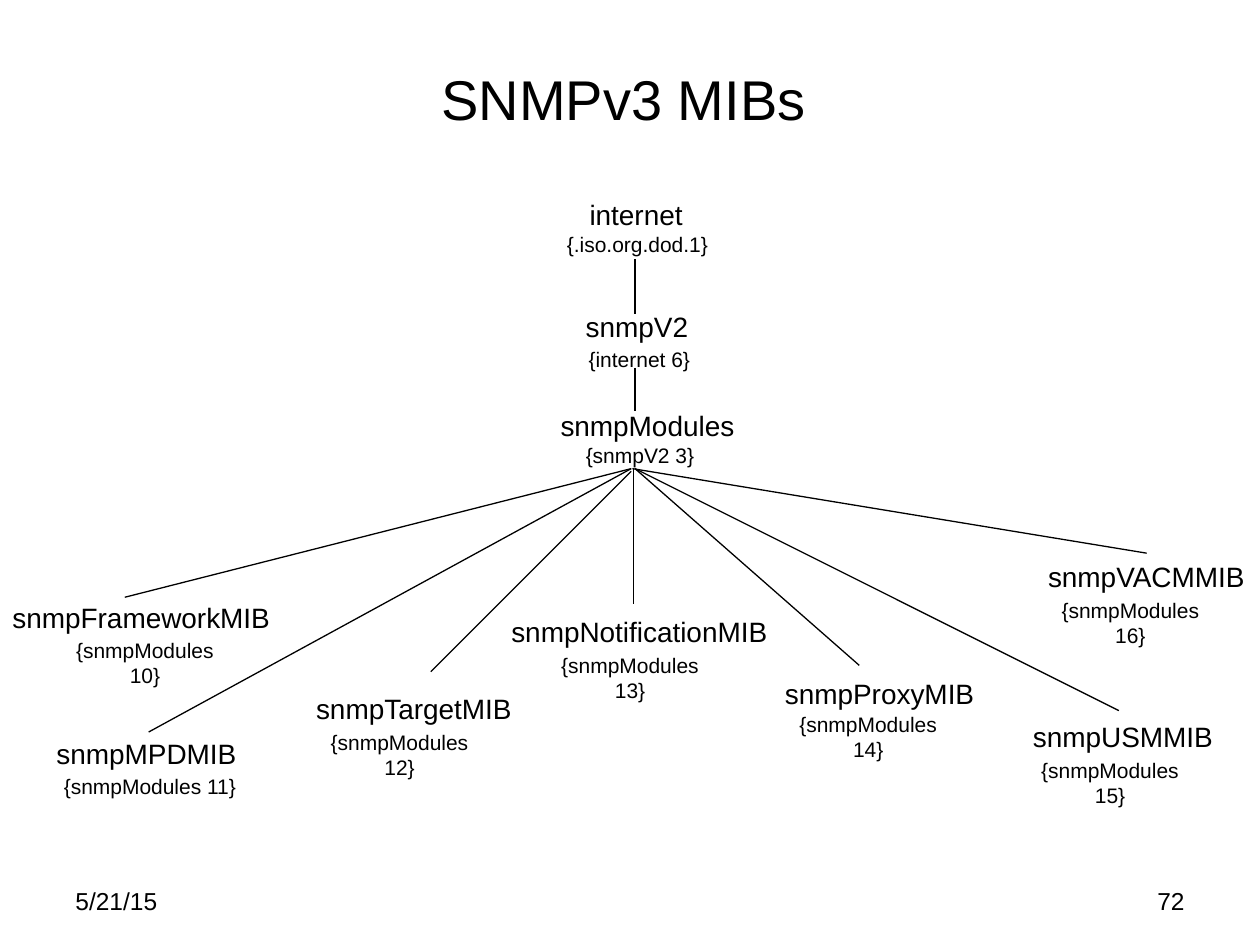
from lxml.etree import SubElement
from pptx import Presentation
from pptx.dml.color import RGBColor
from pptx.enum.shapes import MSO_CONNECTOR
from pptx.enum.text import MSO_ANCHOR, PP_ALIGN
from pptx.oxml.ns import qn
from pptx.util import Pt

COLORS = {"ink": "000000", "paper": "FFFFFF"}
FONT = "Arial"
NAME_HEIGHT, OID_HEIGHT = 26.6, 21.6
LEAF_OID_WIDTH = 113.8

# name, name box (left, top, width), oid, oid box (left, top, width)
ANCESTORS = [
    ("internet", (329.8, 109.4, 67.7), "{.iso.org.dod.1}", (316.8, 128.9, 95)),
    ("snmpV2", (327.6, 173.5, 73.4), "{internet 6}", (329, 194.4, 72.7)),
    ("snmpModules", (313.2, 229.7, 113.8), "{snmpV2 3}", (327.6, 249.1, 76.3)),
]
TRUNK_X = 362.9
TRUNK_SPANS = [(148.3, 179.3), (210.2, 234.7)]

# name, name box, oid number, oid position, branch start, branch end
LEAVES = [
    ("snmpFrameworkMIB", (0, 339.8, 162), 10, (36.7, 360.7), (360.7, 267.8), (71.3, 341.3)),
    ("snmpMPDMIB", (25.2, 417.6, 117.4), 11, (28.8, 438.5), (360.7, 267.8), (85, 418.3)),
    ("snmpTargetMIB", (173.5, 391.7, 128.2), 12, (182.2, 413.3), (360.7, 269.3), (246.2, 383.8)),
    ("snmpNotificationMIB", (285.1, 347.8, 161.3), 13, (313.9, 369.4), (362.2, 267.8), (362.2, 344.9)),
    ("snmpProxyMIB", (441.4, 383, 123.1), 14, (450, 403.2), (362.9, 267.8), (491, 380.2)),
    ("snmpUSMMIB", (583.2, 407.5, 117.4), 15, (588.2, 429.1), (362.9, 267.8), (639.4, 406.1)),
    ("snmpVACMMIB", (591.8, 316.1, 128.2), 16, (599.8, 337.7), (361.4, 267.8), (655.2, 316.1)),
]
ONE_LINE_OIDS = {11}


def write(frame, text, size, align):
    paragraph = frame.paragraphs[0]
    paragraph.alignment = align
    run = paragraph.add_run()
    run.text = text
    run.font.name = FONT
    run.font.size = Pt(size)
    run.font.color.rgb = RGBColor.from_string(COLORS["ink"])


def add_label(slide, box, text, size, align=PP_ALIGN.LEFT, wrap=False):
    frame = slide.shapes.add_textbox(*(Pt(length) for length in box)).text_frame
    frame.word_wrap = wrap
    write(frame, text, size, align)
    return frame


def add_branch(slide, start, end):
    branch = slide.shapes.add_connector(
        MSO_CONNECTOR.STRAIGHT, *(Pt(length) for length in (*start, *end)))
    branch.line.color.rgb = RGBColor.from_string(COLORS["ink"])
    branch.line.width = Pt(0.75)
    SubElement(branch._element.spPr, qn("a:effectLst"))


def add_node(slide, name, name_box, oid, oid_box, wrap=False):
    add_label(slide, (*name_box, NAME_HEIGHT), name, 16)
    oid_frame = add_label(slide, (*oid_box, OID_HEIGHT), oid, 12, PP_ALIGN.CENTER, wrap)
    if wrap:
        oid_frame.margin_left, oid_frame.margin_right = Pt(3.6), Pt(25.2)


def add_title(slide, box):
    title = slide.shapes.title
    title.left, title.top, title.width, title.height = (Pt(length) for length in box)
    title.text_frame.vertical_anchor = MSO_ANCHOR.MIDDLE
    write(title.text_frame, "SNMPv3 MIBs", 32, PP_ALIGN.CENTER)


def add_ancestors(slide):
    for ancestor in ANCESTORS:
        add_node(slide, *ancestor)
    for top, bottom in TRUNK_SPANS:
        add_branch(slide, (TRUNK_X, top), (TRUNK_X, bottom))


def add_leaves(slide):
    for name, name_box, number, oid_position, start, end in LEAVES:
        add_branch(slide, start, end)
        add_node(slide, name, name_box, f"{{snmpModules {number}}}",
                 (*oid_position, LEAF_OID_WIDTH), number not in ONE_LINE_OIDS)


def add_footer(slide, left, top, width, height):
    column = 168
    add_label(slide, (left, top, column, height), "5/21/15", 14, wrap=True)
    add_label(slide, (left + width - column, top, column, height), "72", 14,
              PP_ALIGN.RIGHT, wrap=True)


def main():
    deck = Presentation()
    deck.slide_width, deck.slide_height = Pt(720), Pt(540)
    slide = deck.slides.add_slide(deck.slide_layouts[5])
    slide.background.fill.solid()
    slide.background.fill.fore_color.rgb = RGBColor.from_string(COLORS["paper"])
    add_footer(slide, 36, 502.6, 648, 37.4)
    add_title(slide, (32.4, 10.8, 648, 90))
    add_ancestors(slide)
    add_leaves(slide)
    deck.save("out.pptx")


if __name__ == "__main__":
    main()
